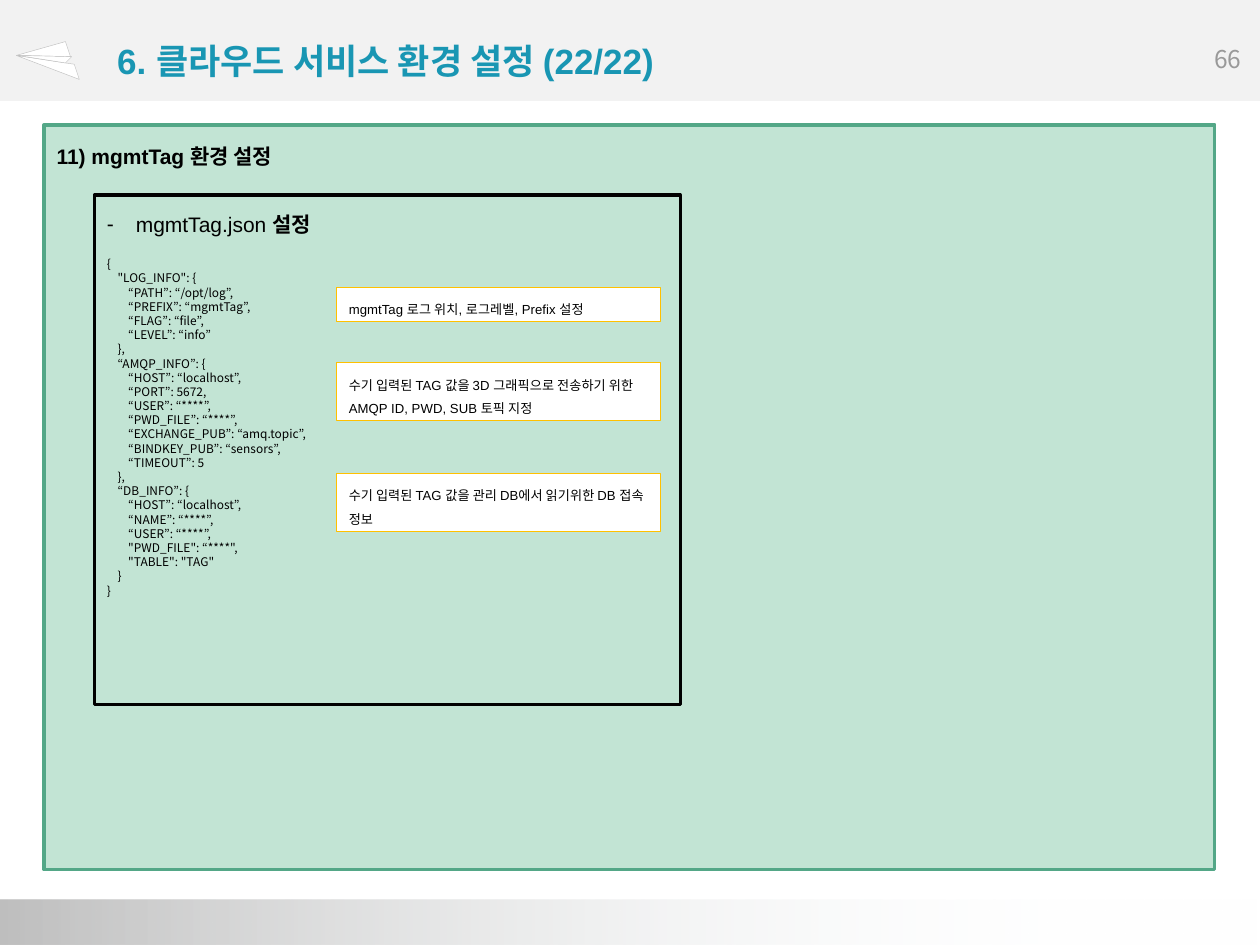
from lxml import etree
from pptx import Presentation
from pptx.dml.color import RGBColor as RGB
from pptx.enum.shapes import MSO_SHAPE as Kind
from pptx.enum.text import MSO_ANCHOR as Anchor, PP_ALIGN as Align
from pptx.oxml.ns import qn
from pptx.util import Emu, Inches, Pt

BLACK = RGB(0x00, 0x00, 0x00)
WHITE = RGB(0xFF, 0xFF, 0xFF)
BAND = RGB(0xF2, 0xF2, 0xF2)
SILVER = RGB(0xBF, 0xBF, 0xBF)
MIST = RGB(0xFB, 0xFD, 0xFE)
GREY = RGB(0x99, 0x99, 0x99)
TEAL = RGB(0x19, 0x96, 0xB3)
MINT = RGB(0xC2, 0xE4, 0xD4)
GREEN = RGB(0x53, 0xA7, 0x87)
AMBER = RGB(0xFF, 0xC0, 0x00)

SANS = "Arial"
NOTO = "Noto Sans CJK KR"

CODE = """{
    "LOG_INFO": {
        “PATH”: “/opt/log”,
        “PREFIX”: “mgmtTag”,
        “FLAG”: “file”,
        “LEVEL”: “info”
    },
    “AMQP_INFO”: {
        “HOST”: “localhost”,
        “PORT”: 5672,
        “USER”: “****”,
        “PWD_FILE”: “****”,
        “EXCHANGE_PUB”: “amq.topic”,
        “BINDKEY_PUB”: “sensors”,
        “TIMEOUT”: 5
    },
    “DB_INFO”: {
        “HOST”: “localhost”,
        “NAME”: “****”,
        “USER”: “****”,
        "PWD_FILE": “****",
        "TABLE": "TAG"
    }
}"""

# Top row, height in rows, text
NOTES = [
    (22.8, 2.7, "mgmtTag 로그 위치, 로그레벨, Prefix 설정"),
    (28.8, 4.6, "수기 입력된 TAG 값을 3D 그래픽으로 전송하기 위한 AMQP ID, PWD, SUB 토픽 지정"),
    (37.6, 4.6, "수기 입력된 TAG 값을 관리 DB에서 읽기위한 DB 접속 정보"),
]

# Corners of the paper plane's folds, in columns and rows
FOLDS = [
    [(5.2, 3.3), (1.3, 4.4), (5.6, 4.5)],
    [(5.9, 5.1), (1.3, 4.4), (6.3, 6.3)],
    [(5.7, 4.5), (1.4, 4.4), (5.2, 5)],
]


class Deck:
    """Draws on a grid of 100 columns by 75 rows."""

    def __init__(self):
        self.prs = Presentation()
        self.prs.slide_width, self.prs.slide_height = Inches(10), Inches(7.5)
        self.cell = self.prs.slide_width / 100
        self.slide = self.prs.slides.add_slide(self.prs.slide_layouts[5])
        self.pen = self.slide.shapes

    def grid(self, *cells):
        return [Emu(round(n * self.cell)) for n in cells]

    def group(self):
        """Send the next shapes to a new group."""
        self.pen = self.slide.shapes.add_group_shape().shapes

    def leave(self):
        """Send the next shapes to the slide itself."""
        self.pen = self.slide.shapes

    def paint(self, shape, fill, line, width):
        shape.shadow.inherit = False
        if fill is None:
            shape.fill.background()
        else:
            shape.fill.solid()
            shape.fill.fore_color.rgb = fill
        if line is None:
            shape.line.fill.background()
        else:
            shape.line.color.rgb = line
            shape.line.width = Pt(width)

    def box(self, at, fill=None, line=None, width=2, kind=Kind.RECTANGLE):
        shape = self.pen.add_shape(kind, *self.grid(*at))
        if kind == Kind.ROUNDED_RECTANGLE:
            shape.adjustments[0] = 0
        self.paint(shape, fill, line, width)
        return shape

    def fade(self, shape, stops):
        """Fill from left to right with (place, colour, opacity) stops."""
        shape.fill.gradient()
        shape.fill.gradient_angle = 0
        ramp = shape.fill._xPr.find(qn("a:gradFill")).find(qn("a:gsLst"))
        for old in list(ramp):
            ramp.remove(old)
        for place, color, alpha in stops:
            stop = etree.SubElement(ramp, qn("a:gs"), pos=str(place * 1000))
            tint = etree.SubElement(stop, qn("a:srgbClr"), val=str(color))
            etree.SubElement(tint, qn("a:alpha"), val=str(alpha * 1000))

    def fold(self, points):
        start, *rest = [self.grid(*point) for point in points]
        pen = self.pen.build_freeform(*start)
        pen.add_line_segments(rest, close=True)
        self.paint(pen.convert_to_shape(), WHITE, SILVER, 0.25)

    def run(self, para, text, size, color=BLACK, font=SANS, bold=False):
        run = para.add_run()
        run.text = text
        run.font.size, run.font.name, run.font.bold = Pt(size), font, bold
        run.font.color.rgb = color

    def text(self, at, anchor=Anchor.TOP):
        frame = self.pen.add_textbox(*self.grid(*at)).text_frame
        frame.word_wrap, frame.vertical_anchor = True, anchor
        return frame

    def title(self, at, text):
        shape = self.slide.shapes.title
        self.slide.shapes._spTree.append(shape._element)
        shape.left, shape.top, shape.width, shape.height = self.grid(*at)
        frame = shape.text_frame
        frame.word_wrap, frame.vertical_anchor = True, Anchor.MIDDLE
        para = frame.paragraphs[0]
        para.alignment = Align.LEFT
        self.run(para, text, 20, TEAL, bold=True)

    def bullet(self, para, mark):
        props = para._p.get_or_add_pPr()
        indent = Inches(0.23)
        props.set("marL", str(indent))
        props.set("indent", str(-indent))
        etree.SubElement(props, qn("a:buFont"), typeface=SANS)
        etree.SubElement(props, qn("a:buChar"), char=mark)

    def code(self, at, source):
        frame = self.text(at)
        for i, line in enumerate(source.splitlines()):
            para = frame.add_paragraph() if i else frame.paragraphs[0]
            para.line_spacing = Pt(8.1)
            self.run(para, line, 6.8, font=NOTO)

    def note(self, at, text):
        frame = self.box(at, WHITE, AMBER, 0.75).text_frame
        frame.word_wrap, frame.vertical_anchor = True, Anchor.TOP
        para = frame.paragraphs[0]
        para.alignment, para.line_spacing = Align.LEFT, 1.5
        self.run(para, text, 7.5)


def main():
    deck = Deck()
    deck.box((0, 0, 100, 8), BAND, kind=Kind.ROUNDED_RECTANGLE)
    foot = deck.box((0, 71.4, 100, 3.6), WHITE, kind=Kind.ROUNDED_RECTANGLE)
    deck.fade(foot, [(0, SILVER, 100), (83, MIST, 10), (100, WHITE, 0)])

    page = deck.text((93.7, 3, 7.5, 5)).paragraphs[0]
    page.alignment = Align.CENTER
    deck.run(page, "66", 14, GREY, NOTO)

    deck.group()
    for points in FOLDS:
        deck.fold(points)
    deck.leave()

    deck.box((3.5, 9.9, 92.9, 59.1), MINT, GREEN, kind=Kind.ROUNDED_RECTANGLE)
    deck.title((8.3, 2.9, 84.3, 3.8), "6. 클라우드 서비스 환경 설정 (22/22)")
    head = deck.text((3.5, 9.9, 92.9, 3.6)).paragraphs[0]
    head.line_spacing = 1.5
    deck.run(head, "11) mgmtTag 환경 설정", 12, bold=True)

    deck.group()
    deck.box((7.5, 15.5, 46.5, 40.4), line=BLACK)
    item = deck.text((7.5, 15.5, 46.5, 3.6), Anchor.MIDDLE).paragraphs[0]
    item.line_spacing = 1.5
    deck.bullet(item, "-")
    deck.run(item, "mgmtTag.json ", 12)
    deck.run(item, "설정", 12, bold=True)
    deck.code((7.5, 19.9, 46.5, 28.3), CODE)
    deck.leave()

    for top, height, text in NOTES:
        deck.note((26.7, top, 25.7, height), text)
    deck.prs.save("out.pptx")


if __name__ == "__main__":
    main()
